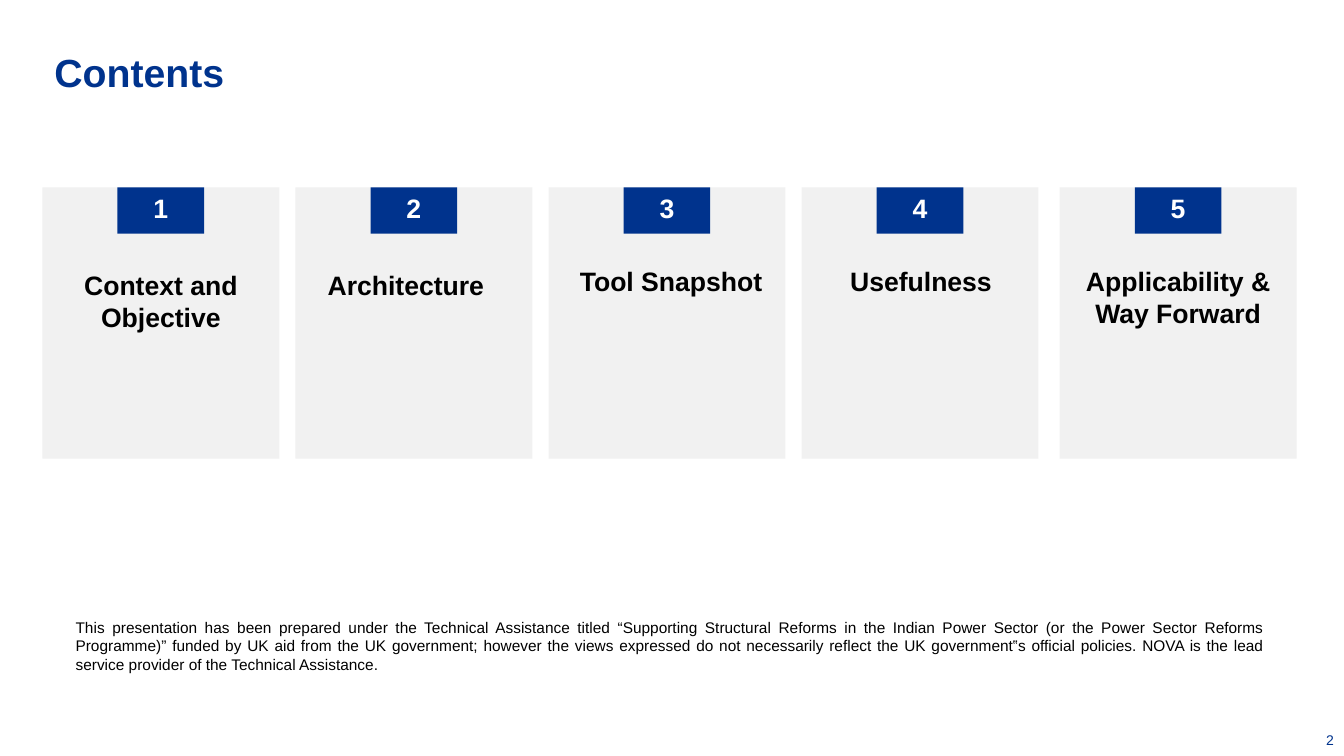
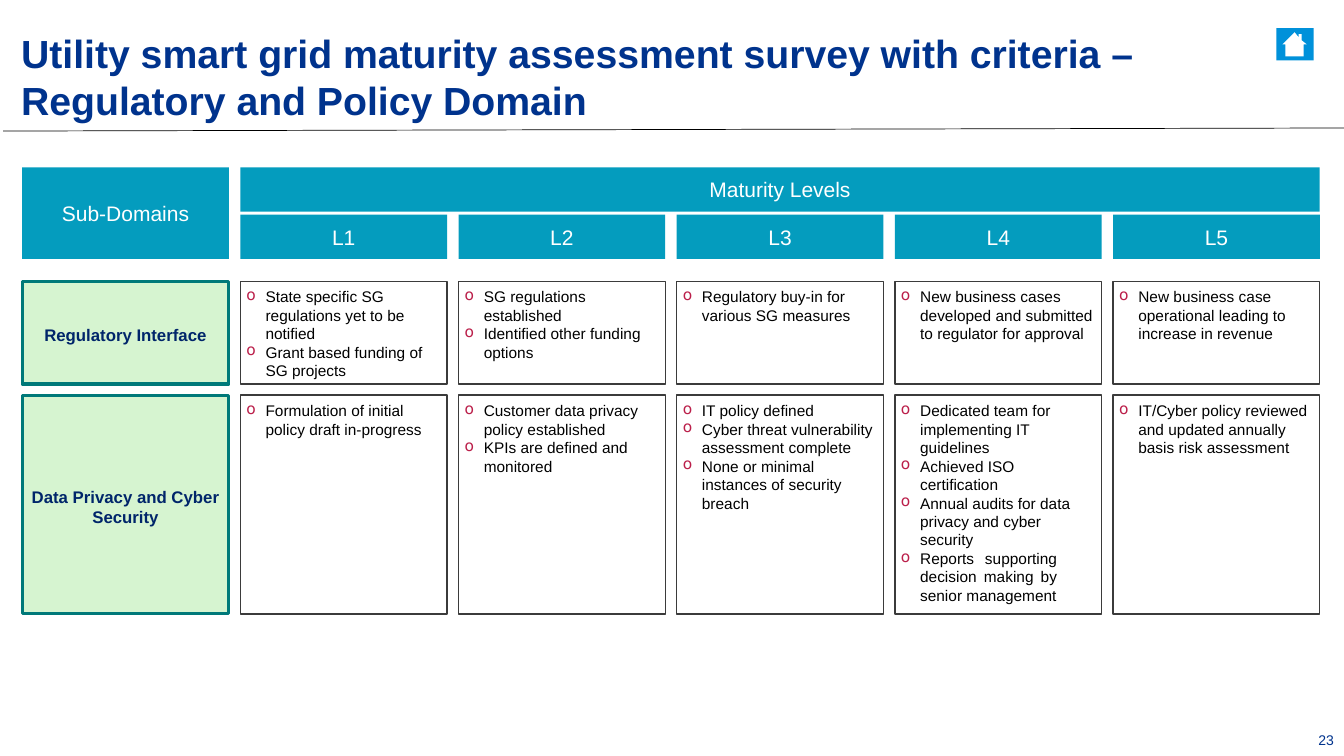
from lxml import etree
from pptx import Presentation
from pptx.dml.color import RGBColor
from pptx.enum.shapes import MSO_CONNECTOR, MSO_SHAPE
from pptx.enum.text import MSO_ANCHOR as Anchor, MSO_AUTO_SIZE, PP_ALIGN as Align
from pptx.oxml.ns import qn
from pptx.util import Inches, Pt

# Shared style
FONT = "Arial"
NAVY, TEAL, GREY, BLACK, WHITE = "00338D", "049CBE", "F1F1F1", "000000", "FFFFFF"
MINT, MINT_EDGE, MINT_TEXT = "D6F4D0", "007979", "00256A"
CELL_EDGE, BULLET, ICON_BLUE = "3B3B3B", "BB1F4A", "0091DA"


def paint(fill, color):
    """Give a shape, line or font fill one colour, or none."""
    if color is None:
        fill.background()
    else:
        fill.solid()
        fill.fore_color.rgb = RGBColor.from_string(color)


def add_block(slide, area, text="", size=11, color=BLACK, bold=False, fill=None,
              line=None, line_width=1, align=Align.CENTER, anchor=Anchor.MIDDLE,
              insets=(0, 0, 0)):
    """Add a rectangle or plain text box; insets are left, top, right."""
    box = [Inches(length) for length in area]
    if fill or line:
        shape = slide.shapes.add_shape(MSO_SHAPE.RECTANGLE, *box)
        shape.shadow.inherit = False
        paint(shape.fill, fill)
        paint(shape.line.fill, line)
        if line:
            shape.line.width = Pt(line_width)
    else:
        shape = slide.shapes.add_textbox(*box)
    frame = shape.text_frame
    frame.word_wrap = True
    frame.vertical_anchor = anchor
    frame.margin_left, frame.margin_top, frame.margin_right = map(Inches, insets)
    frame.margin_bottom = 0
    frame.text = text
    for paragraph in frame.paragraphs:
        paragraph.alignment = align
        for run in paragraph.runs:
            run.font.name, run.font.size, run.font.bold = FONT, Pt(size), bold
            paint(run.font.fill, color)
    return shape


presentation = Presentation()
presentation.slide_width, presentation.slide_height = Inches(13.33), Inches(7.5)
title_only = presentation.slide_layouts[5]

# Titles and page numbers
pages = [
    ("Contents", "2", (0.54, 0.46, 11.2, 0.49)),
    ("Utility smart grid maturity assessment survey with criteria – "
     "Regulatory and Policy Domain", "23", (0.21, 0.27, 11.2, 0.96)),
]
for title_text, page_number, area in pages:
    slide = presentation.slides.add_slide(title_only)
    title = slide.shapes.title
    title.left, title.top, title.width, title.height = map(Inches, area)
    frame = title.text_frame
    frame.text = title_text
    frame.word_wrap = True
    frame.auto_size = MSO_AUTO_SIZE.NONE
    frame.vertical_anchor = Anchor.TOP
    frame.margin_left = frame.margin_right = frame.margin_bottom = 0
    frame.margin_top = Inches(0.02)
    paragraph = frame.paragraphs[0]
    paragraph.alignment = Align.LEFT
    font = paragraph.runs[0].font
    font.name, font.size, font.bold = FONT, Pt(28), True
    paint(font.fill, NAVY)
    add_block(slide, (12.73, 7.25, 0.5, 0.19), page_number, 10, NAVY,
              align=Align.RIGHT, anchor=Anchor.TOP, insets=(0, 0.01, 0))

contents, survey = presentation.slides

# Contents: numbered cards, each with its text shift and text top
cards = [
    ("Context and Objective", 0, 0.81),
    ("Architecture", -0.08, 0.81),
    ("Tool Snapshot", 0.04, 0.77),
    ("Usefulness", 0.01, 0.77),
    ("Applicability & Way Forward", 0, 0.77),
]
card_top, card_width, card_height, card_pitch = 1.86, 2.35, 2.69, 2.51
badge_width, badge_height = 0.86, 0.46
for index, (topic, shift, text_top) in enumerate(cards):
    # The last card stands slightly apart
    left = 0.42 + card_pitch * index + (0.05 if index == len(cards) - 1 else 0)
    add_block(contents, (left, card_top, card_width, card_height), topic, 19,
              bold=True, fill=GREY, anchor=Anchor.TOP,
              insets=(0.2 + shift, text_top, 0.2 - shift))
    badge_left = left + (card_width - badge_width) / 2
    add_block(contents, (badge_left, card_top, badge_width, badge_height),
              str(index + 1), 19, WHITE, True, NAVY, anchor=Anchor.TOP,
              insets=(0, 0.05, 0))

# Contents: funding note
add_block(contents, (0.75, 6.12, 11.8, 0.58),
          "This presentation has been prepared under the Technical Assistance titled "
          "“Supporting Structural Reforms in the Indian Power Sector (or the Power "
          "Sector Reforms Programme)” funded by UK aid from the UK government; however "
          "the views expressed do not necessarily reflect the UK government‟s official "
          "policies. NOVA is the lead service provider of the Technical Assistance.",
          align=Align.JUSTIFY, anchor=Anchor.TOP, insets=(0, 0.01, 0))

# Survey: rule under the title
rule = survey.shapes.add_connector(MSO_CONNECTOR.STRAIGHT, Inches(0.03), Inches(1.3),
                                   Inches(13.33), Inches(1.27))
paint(rule.line.fill, BLACK)
rule.line.width = Pt(0.5)
etree.SubElement(rule.element.spPr, qn("a:effectLst"))

# Survey: home icon, outlined in hundredths of an inch
add_block(survey, (12.66, 0.28, 0.37, 0.32), fill=ICON_BLUE)
outline = [(1284, 32), (1288, 37), (1288, 34), (1291, 34), (1291, 40), (1296, 44),
           (1293, 44), (1293, 56), (1275, 56), (1275, 44)]
builder = survey.shapes.build_freeform(1272, 44, scale=Inches(0.01))
builder.add_line_segments(outline, close=True)
house = builder.convert_to_shape()
house.shadow.inherit = False
paint(house.fill, WHITE)
paint(house.line.fill, None)

# Survey: column grid, first column for the sub-domains
grid_left, grid_right, column_width, levels = 0.22, 13.09, 2.05, 5
column_pitch = (grid_right - grid_left - column_width) / levels
lefts = [grid_left + column_pitch * column for column in range(levels + 1)]

# Survey: header bands
headers = [
    ((lefts[0], 1.66, column_width, 0.91), "Sub-Domains"),
    ((lefts[1], 1.66, grid_right - lefts[1], 0.44), "Maturity Levels"),
]
headers += [((left, 2.13, column_width, 0.44), f"L{level}")
            for level, left in enumerate(lefts[1:], 1)]
for area, label in headers:
    add_block(survey, area, label, 15, WHITE, fill=TEAL)

# Survey: one row per sub-domain, one list of criteria per level
rows = [
    ("Regulatory Interface", 2.79, 1.02, [
        ["State specific SG regulations yet to be notified",
         "Grant based funding of SG projects"],
        ["SG regulations established", "Identified other funding options"],
        ["Regulatory buy-in for various SG measures"],
        ["New business cases developed and submitted to regulator for approval"],
        ["New business case operational leading to increase in revenue"],
    ]),
    ("Data Privacy and Cyber Security", 3.92, 2.17, [
        ["Formulation of initial policy draft in-progress"],
        ["Customer data privacy policy established",
         "KPIs are defined and monitored"],
        ["IT policy defined", "Cyber threat vulnerability assessment complete",
         "None or minimal instances of security breach"],
        ["Dedicated team for implementing IT guidelines",
         "Achieved ISO certification",
         "Annual audits for data privacy and cyber security",
         "Reports supporting decision making by senior management"],
        ["IT/Cyber policy reviewed and updated annually basis risk assessment"],
    ]),
]
for sub_domain, top, height, criteria in rows:
    add_block(survey, (lefts[0], top, column_width, height), sub_domain, 12,
              MINT_TEXT, True, MINT, MINT_EDGE, 2.25, insets=(0, 0.04, 0))
    for left, items in zip(lefts[1:], criteria):
        cell = add_block(survey, (left, top, column_width, height), "\n".join(items),
                         line=CELL_EDGE, align=Align.LEFT, anchor=Anchor.TOP,
                         insets=(0, 0.06, 0.07))
        for paragraph in cell.text_frame.paragraphs:
            properties = paragraph._p.get_or_add_pPr()
            properties.set("marL", str(Inches(0.25)))
            properties.set("indent", str(Inches(-0.19)))
            bullet_color = etree.SubElement(properties, qn("a:buClr"))
            etree.SubElement(bullet_color, qn("a:srgbClr"), val=BULLET)
            etree.SubElement(properties, qn("a:buChar"), char="o")
            # The reporting criterion is justified in a narrower measure
            if paragraph.text.startswith("Reports"):
                paragraph.alignment = Align.JUSTIFY
                properties.set("marR", str(Inches(0.37)))

presentation.save("out.pptx")
